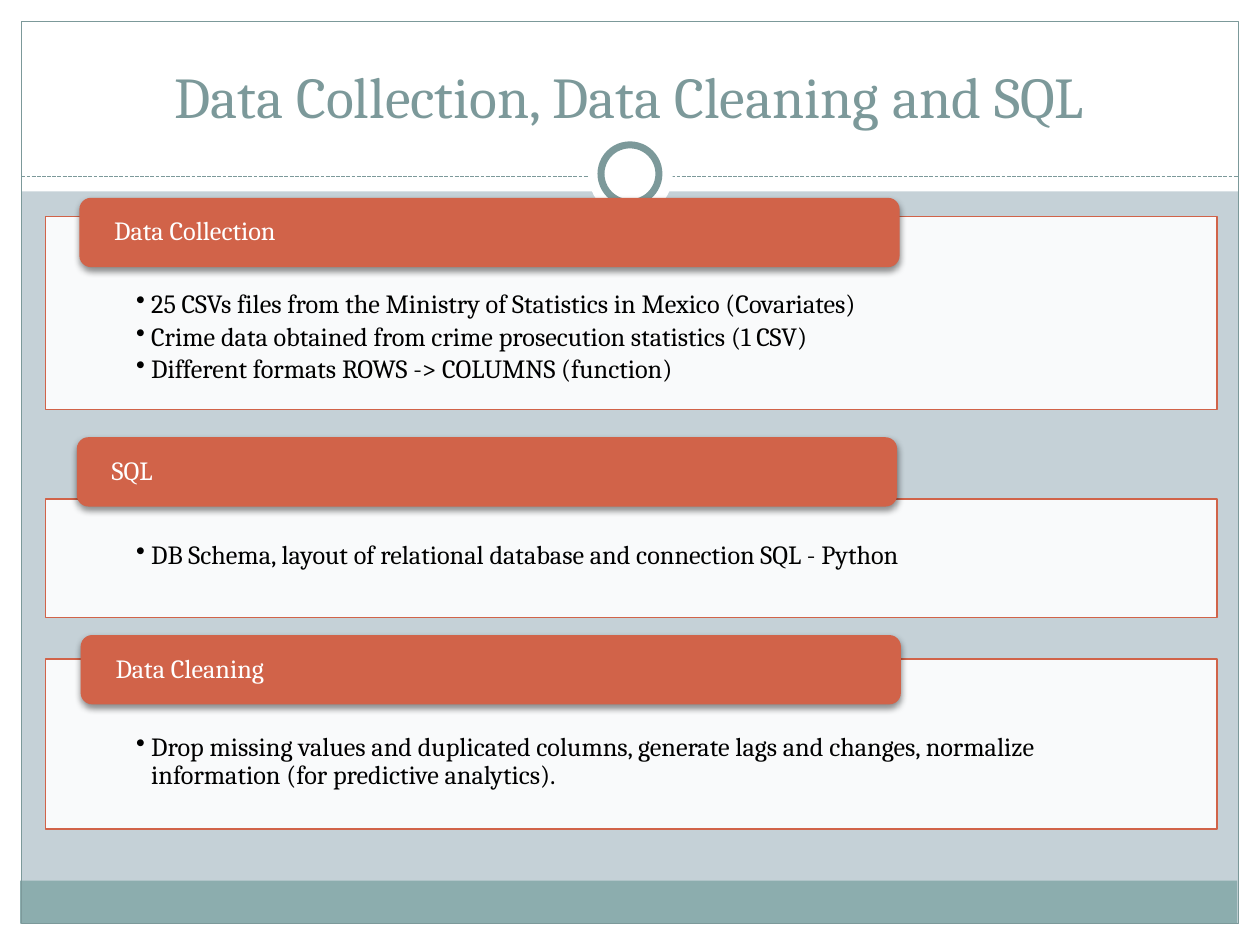
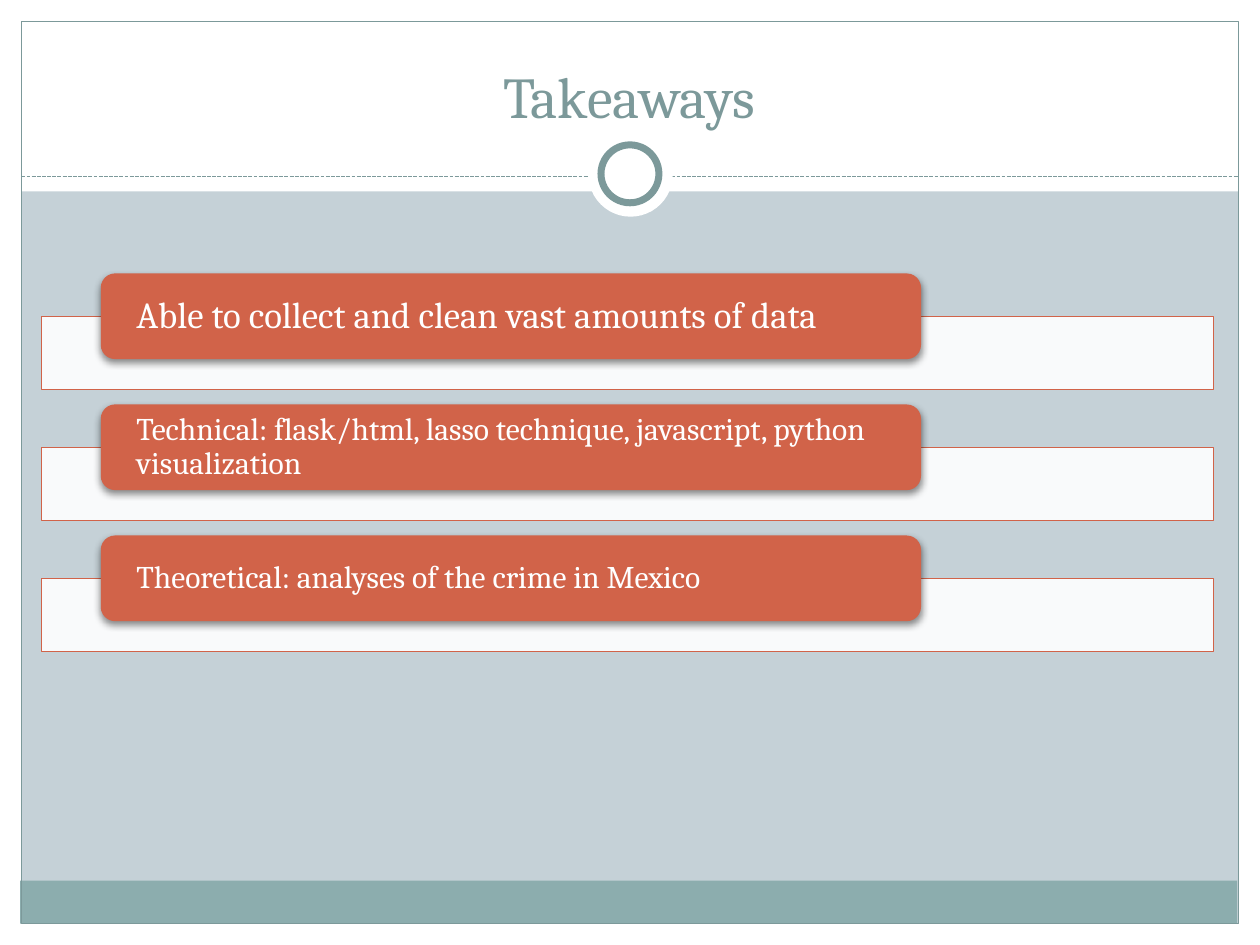
from lxml.etree import SubElement
from pptx import Presentation
from pptx.dml.color import RGBColor
from pptx.enum.dml import MSO_LINE
from pptx.enum.shapes import MSO_CONNECTOR, MSO_SHAPE
from pptx.enum.text import MSO_ANCHOR, PP_ALIGN
from pptx.oxml.ns import qn
from pptx.util import Inches, Pt

COLORS = {
    "background": "C5D1D7",
    "white": "FFFFFF",
    "footer": "8CADAE",
    "frame": "7C999A",
    "accent": "D16349",
    "text": "000000",
}
FONT = "Cambria"
BODY_SIZE = 15
TAB_WIDTH = 6.51
PANEL_WIDTH = 9.3

COLLECTION_SECTIONS = [
    ("Data Collection", 0.63, 1.57, 1.72, 1.53, 0.59, [
        "25 CSVs files from the Ministry of Statistics in Mexico (Covariates)",
        "Crime data obtained from crime prosecution statistics (1 CSV)",
        "Different formats ROWS -> COLUMNS (function)",
    ]),
    ("SQL", 0.61, 3.47, 3.96, 0.94, 0.34, [
        "DB Schema, layout of relational database and connection SQL - Python",
    ]),
    ("Data Cleaning", 0.64, 5.04, 5.23, 1.35, 0.59, [
        "Drop missing values and duplicated columns, generate lags and changes, "
        "normalize information (for predictive analytics).",
    ]),
]
TAKEAWAYS = [
    ("Able to collect and clean vast amounts of data", 21),
    ("Technical: flask/html, lasso technique, javascript, python visualization", 18),
    ("Theoretical: analyses of the crime in Mexico", 18),
]


def color(name):
    return RGBColor.from_string(COLORS[name])


def add_block(page, kind, left, top, width, height, fill=None, line=None, weight=0.75):
    block = page.shapes.add_shape(
        kind, Inches(left), Inches(top), Inches(width), Inches(height))
    block.shadow.inherit = False
    if fill:
        block.fill.solid()
        block.fill.fore_color.rgb = color(fill)
    else:
        block.fill.background()
    if line:
        block.line.color.rgb = color(line)
        block.line.width = Pt(weight)
    else:
        block.line.fill.background()
    return block


def set_frame(box, anchor, left, top, right, bottom):
    frame = box.text_frame
    frame.word_wrap = True
    frame.vertical_anchor = anchor
    frame.margin_left, frame.margin_top = Inches(left), Inches(top)
    frame.margin_right, frame.margin_bottom = Inches(right), Inches(bottom)
    return frame


def style_paragraph(para, text, size, ink, align=PP_ALIGN.LEFT):
    para.text = text
    para.alignment = align
    para.font.name = FONT
    para.font.size = Pt(size)
    para.font.color.rgb = color(ink)


def add_bullet(para):
    properties = para._p.get_or_add_pPr()
    properties.set("marL", str(Inches(0.12)))
    properties.set("indent", str(Inches(-0.12)))
    SubElement(properties, qn("a:buChar")).set("char", "•")


def add_drop_shadow(block):
    effects = block._element.spPr.find(qn("a:effectLst"))
    shadow = SubElement(effects, qn("a:outerShdw"), blurRad=str(Pt(4)),
                        dist=str(Pt(2)), dir="5400000", rotWithShape="0")
    shade = SubElement(shadow, qn("a:srgbClr"), val=COLORS["text"])
    SubElement(shade, qn("a:alpha"), val="45000")


def add_panel(page, left, top, height, bullets=(), top_inset=0.34):
    panel = add_block(page, MSO_SHAPE.RECTANGLE, left, top, PANEL_WIDTH, height,
                      "white", "accent")
    fill = panel._element.spPr.find(qn("a:solidFill"))
    SubElement(fill[0], qn("a:alpha"), val="90000")
    if not bullets:
        return
    frame = set_frame(panel, MSO_ANCHOR.TOP, 0.72, top_inset, 0.72, 0.12)
    for index, text in enumerate(bullets):
        para = frame.add_paragraph() if index else frame.paragraphs[0]
        para.line_spacing = 0.9
        para.space_after = Pt(BODY_SIZE * 0.15)
        add_bullet(para)
        style_paragraph(para, text, BODY_SIZE, "text")


def add_tab(page, text, left, top, height, size):
    tab = add_block(page, MSO_SHAPE.ROUNDED_RECTANGLE, left, top, TAB_WIDTH, height, "accent")
    add_drop_shadow(tab)
    frame = set_frame(tab, MSO_ANCHOR.MIDDLE, 0.25, 0, 0.25, 0)
    para = frame.paragraphs[0]
    para.line_spacing = 0.9
    style_paragraph(para, text, size, "white")


def add_dashed_rule(page):
    rule = page.shapes.add_connector(
        MSO_CONNECTOR.STRAIGHT, Inches(0.17), Inches(1.4), Inches(9.83), Inches(1.4))
    rule.line.color.rgb = color("frame")
    rule.line.width = Pt(0.75)
    rule.line.dash_style = MSO_LINE.SQUARE_DOT
    SubElement(rule._element.spPr, qn("a:effectLst"))


def add_title(page, text):
    box = page.shapes.add_textbox(Inches(0.33), Inches(0.25), Inches(9.33), Inches(0.83))
    frame = set_frame(box, MSO_ANCHOR.BOTTOM, 0.1, 0.05, 0.1, 0.05)
    style_paragraph(frame.paragraphs[0], text, 33, "frame", PP_ALIGN.CENTER)


def add_page(deck, title):
    page = deck.slides.add_slide(deck.slide_layouts[6])
    page.background.fill.solid()
    page.background.fill.fore_color.rgb = color("background")
    for border in [(0, 7.33, 10, 0.17), (0, 0, 10, 1.52),
                   (0, 0, 0.17, 7.5), (9.83, 0, 0.17, 7.5)]:
        add_block(page, MSO_SHAPE.RECTANGLE, *border, fill="white")
    add_block(page, MSO_SHAPE.RECTANGLE, 0.16, 6.99, 9.66, 0.34, "footer")
    add_block(page, MSO_SHAPE.RECTANGLE, 0.17, 0.17, 9.66, 7.16, line="frame")
    add_dashed_rule(page)
    add_block(page, MSO_SHAPE.OVAL, 4.67, 1.05, 0.67, 0.67, "white")
    add_block(page, MSO_SHAPE.OVAL, 4.77, 1.15, 0.46, 0.46, "white", "frame", 4)
    add_title(page, title)
    return page


def build_collection(deck):
    page = add_page(deck, "Data Collection, Data Cleaning and SQL")
    for heading, tab_left, tab_top, top, height, inset, bullets in COLLECTION_SECTIONS:
        add_panel(page, 0.36, top, height, bullets, inset)
        add_tab(page, heading, tab_left, tab_top, 0.55, BODY_SIZE)


def build_takeaways(deck):
    page = add_page(deck, "Takeaways")
    for index, (text, size) in enumerate(TAKEAWAYS):
        top = 2.17 + 1.04 * index
        add_panel(page, 0.33, top + 0.34, 0.58)
        add_tab(page, text, 0.8, top, 0.68, size)


def main():
    deck = Presentation()
    deck.slide_width, deck.slide_height = Inches(10), Inches(7.5)
    build_collection(deck)
    build_takeaways(deck)
    deck.save("out.pptx")


if __name__ == "__main__":
    main()
